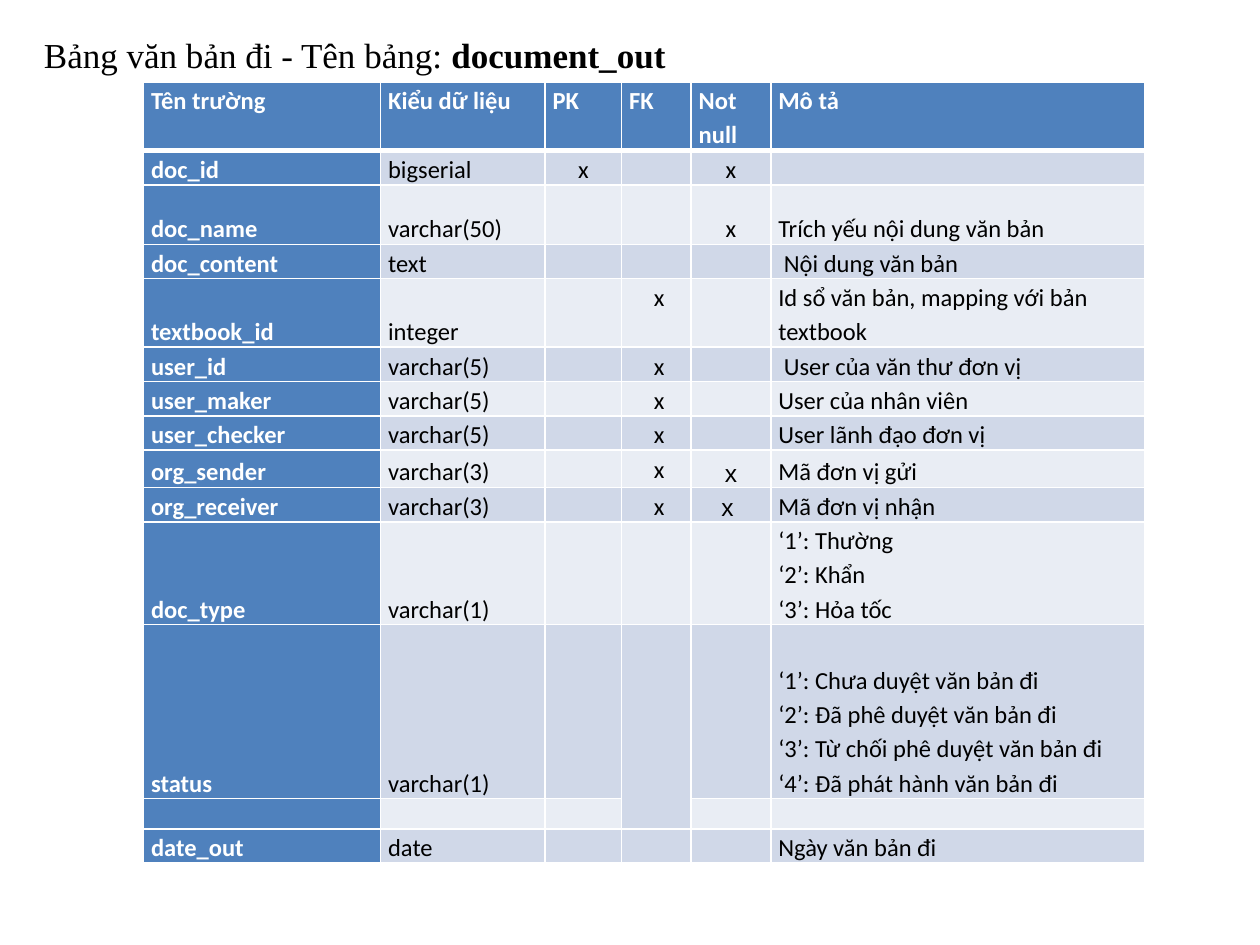
import dataclasses
import lxml.etree
import pptx
import pptx.dml.color
import pptx.enum.text
import pptx.oxml.ns
import pptx.util

Pt = pptx.util.Pt
qn = pptx.oxml.ns.qn
ALIGN = pptx.enum.text.PP_ALIGN
ANCHOR = pptx.enum.text.MSO_ANCHOR
WHITE, BLACK, BLUE = "FFFFFF", "000000", "4F81BD"
BANDS = ("E9EDF4", "D0D8E8")
WIDTHS = (135.5, 94, 43.7, 39.8, 45.5, 213.4)
HEADS = ("Tên trường", "Kiểu dữ liệu", "PK", "FK", "Not null", "Mô tả")
FK_COL, NULL_COL = HEADS.index("FK"), HEADS.index("Not null")
MARKS = (HEADS.index("PK"), FK_COL, NULL_COL)


@dataclasses.dataclass
class Field:
    name: str = ""
    kind: str = ""
    key: str = ""
    link: str = ""
    must: str = ""
    notes: tuple[str, ...] = ()
    height: float = 17.3
    mark_font: str = "Calibri"

    def texts(self) -> list[tuple[str, ...]]:
        return [(self.name,), (self.kind,), (self.key,), (self.link,),
                (self.must,), self.notes or ("",)]


FIELDS = (
    Field("doc_id", "bigserial", key="x", must="x"),
    Field("doc_name", "varchar(50)", must="x",
          notes=("Trích yếu nội dung văn bản",), height=34),
    Field("doc_content", "text", notes=(" Nội dung văn bản",)),
    Field("textbook_id", "integer", link=" x",
          notes=("Id sổ văn bản, mapping với bản textbook",), height=36),
    Field("user_id", "varchar(5)", link=" x", notes=(" User của văn thư đơn vị",)),
    Field("user_maker", "varchar(5)", link=" x", notes=("User của nhân viên",)),
    Field("user_checker", "varchar(5)", link=" x", notes=("User lãnh đạo đơn vị",)),
    Field("org_sender", "varchar(3)", link=" x", must="x",
          notes=("Mã đơn vị gửi",), height=21.3, mark_font="Arial"),
    Field("org_receiver", "varchar(3)", link=" x", must="x ",
          notes=("Mã đơn vị nhận",), mark_font="Arial"),
    Field("doc_type", "varchar(1)",
          notes=("‘1’: Thường", "‘2’: Khẩn", "‘3’: Hỏa tốc"), height=54.7),
    Field("status", "varchar(1)",
          notes=("‘1’: Chưa duyệt văn bản đi", "‘2’: Đã phê duyệt văn bản đi",
                 "‘3’: Từ chối phê duyệt văn bản đi",
                 "‘4’: Đã phát hành văn bản đi"), height=99.4),
    Field(),
    Field("date_out", "date", notes=("Ngày văn bản đi",)),
)


def tint(code: str) -> pptx.dml.color.RGBColor:
    return pptx.dml.color.RGBColor.from_string(code)


def add_run(para, text: str, size: float, face: str, color: str, bold: bool) -> None:
    run = para.add_run()
    run.text = text
    run.font.size = Pt(size)
    run.font.name = face
    run.font.bold = bold
    run.font.color.rgb = tint(color)


def edge(cell, top: float, base: float) -> None:
    props = cell._tc.get_or_add_tcPr()
    for side, wide in (("L", 1), ("R", 1), ("T", top), ("B", base)):
        line = lxml.etree.SubElement(props, qn(f"a:ln{side}"), w=str(Pt(wide)))
        fill = lxml.etree.SubElement(line, qn("a:solidFill"))
        lxml.etree.SubElement(fill, qn("a:srgbClr"), val=WHITE)


def fill_cell(cell, lines: tuple[str, ...], row: int, col: int, face: str) -> None:
    strong = row == 0 or col == 0
    edge(cell, 3 if row == 1 else 1, 3 if row == 0 else 1)
    cell.fill.solid()
    cell.fill.fore_color.rgb = tint(BLUE if strong else BANDS[row % 2])
    cell.margin_left = cell.margin_right = Pt(4.3)
    cell.margin_top = cell.margin_bottom = Pt(0)
    top = row == 0 or col == FK_COL
    cell.vertical_anchor = ANCHOR.TOP if top else ANCHOR.BOTTOM
    frame = cell.text_frame
    for spot, text in enumerate(lines):
        para = frame.add_paragraph() if spot else frame.paragraphs[0]
        para.line_spacing = 1.15
        para.alignment = ALIGN.CENTER if row and col in MARKS else ALIGN.LEFT
        if text:
            add_run(para, text, 14, face, WHITE if strong else BLACK, strong)
        else:
            lxml.etree.SubElement(para._p, qn("a:endParaRPr"), sz="1400")


def add_grid(slide) -> None:
    shape = slide.shapes.add_table(len(FIELDS) + 1, len(HEADS), Pt(82), Pt(46.8),
                                   Pt(sum(WIDTHS)), Pt(420))
    table = shape.table
    for col, wide in enumerate(WIDTHS):
        table.columns[col].width = Pt(wide)
    table.rows[0].height = Pt(36)
    for col, head in enumerate(HEADS):
        fill_cell(table.cell(0, col), (head,), 0, col, "Calibri")
    for row, field in enumerate(FIELDS, 1):
        table.rows[row].height = Pt(field.height)
        for col, lines in enumerate(field.texts()):
            face = field.mark_font if col == NULL_COL else "Calibri"
            fill_cell(table.cell(row, col), lines, row, col, face)
    state = [field.name for field in FIELDS].index("status") + 1
    table.cell(state, FK_COL).merge(table.cell(state + 1, FK_COL))


def add_title(slide) -> None:
    box = slide.shapes.add_textbox(Pt(18), Pt(12.2), Pt(437.8), Pt(33.1))
    frame = box.text_frame
    frame.word_wrap = True
    frame.auto_size = pptx.enum.text.MSO_AUTO_SIZE.SHAPE_TO_FIT_TEXT
    para = frame.paragraphs[0]
    para.line_spacing = 1.15
    for text, bold in (("Bảng văn bản đi - Tên bảng: ", False), ("document_out", True)):
        add_run(para, text, 20, "Times New Roman", BLACK, bold)


def main() -> None:
    deck = pptx.Presentation()
    deck.slide_width, deck.slide_height = Pt(720), Pt(540)
    slide = deck.slides.add_slide(deck.slide_layouts[6])
    add_grid(slide)
    add_title(slide)
    deck.save("out.pptx")


if __name__ == "__main__":
    main()
